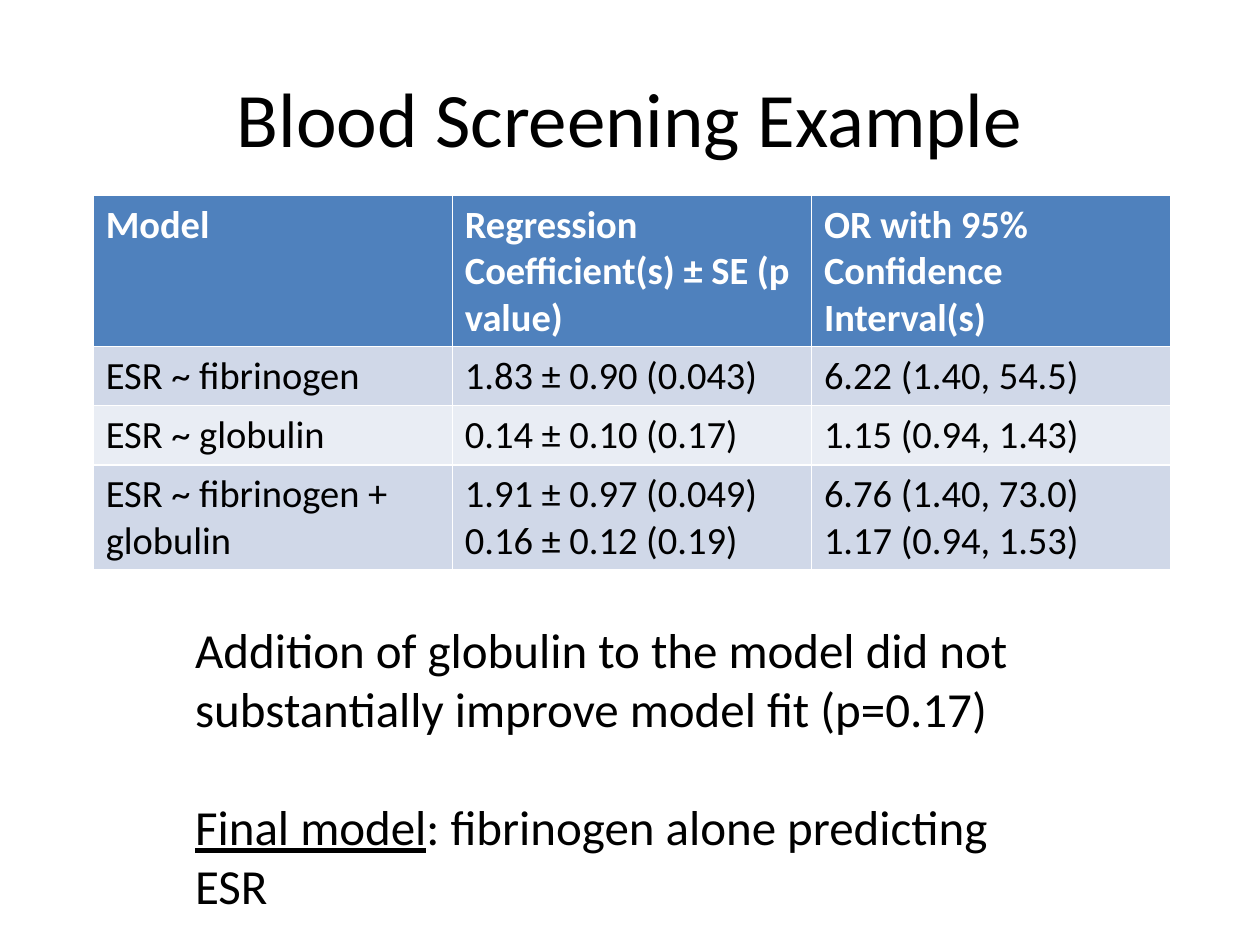
from dataclasses import dataclass

import pptx
import pptx.dml.color
import pptx.enum.text
import pptx.util
from pptx.util import Inches

FONT = "Calibri"
BLACK, WHITE = "000000", "FFFFFF"
HEADER_FILL = "4F81BD"
BAND_FILLS = ("D0D8E8", "E9EDF4")


@dataclass
class Row:
    height: float
    cells: tuple[str, str, str]


ROWS = [
    Row(1.2, ("Model", "Regression Coefficient(s) ± SE (p value)",
              "OR with 95% Confidence Interval(s)")),
    Row(0.47, ("ESR ~ fibrinogen", "1.83 ± 0.90 (0.043)", "6.22 (1.40, 54.5)")),
    Row(0.47, ("ESR ~ globulin", "0.14 ± 0.10 (0.17)", "1.15 (0.94, 1.43)")),
    Row(0.83, ("ESR ~ fibrinogen + globulin",
               "1.91 ± 0.97 (0.049)\n0.16 ± 0.12 (0.19)",
               "6.76 (1.40, 73.0)\n1.17 (0.94, 1.53)")),
]


def color(value: str) -> pptx.dml.color.RGBColor:
    return pptx.dml.color.RGBColor.from_string(value)


def format_text(frame, size: float, ink: str = BLACK, bold: bool = False) -> None:
    for para in frame.paragraphs:
        for span in para.runs:
            span.font.name = FONT
            span.font.size = pptx.util.Pt(size)
            span.font.bold = bold
            span.font.color.rgb = color(ink)


def add_text(page, left: float, top: float, width: float, height: float,
             text: str, size: float):
    box = page.shapes.add_textbox(Inches(left), Inches(top), Inches(width), Inches(height))
    frame = box.text_frame
    frame.word_wrap = True
    frame.text = text
    format_text(frame, size)
    return frame


def add_model_table(page, left: float, top: float, column_width: float) -> None:
    columns = len(ROWS[0].cells)
    height = sum(row.height for row in ROWS)
    table = page.shapes.add_table(len(ROWS), columns, Inches(left), Inches(top),
                                  Inches(column_width * columns), Inches(height)).table
    for column in table.columns:
        column.width = Inches(column_width)
    for index, row in enumerate(ROWS):
        header = index == 0
        table.rows[index].height = Inches(row.height)
        for cell, text in zip(table.rows[index].cells, row.cells):
            cell.text_frame.text = text
            format_text(cell.text_frame, 22, WHITE if header else BLACK, header)
            cell.fill.solid()
            cell.fill.fore_color.rgb = color(
                HEADER_FILL if header else BAND_FILLS[(index - 1) % 2])


def main() -> None:
    deck = pptx.Presentation()
    deck.slide_width, deck.slide_height = Inches(10), Inches(7.5)
    page = deck.slides.add_slide(deck.slide_layouts[6])

    title = add_text(page, 0.5, 0.3, 9, 1.25, "Blood Screening Example", 44)
    title.vertical_anchor = pptx.enum.text.MSO_ANCHOR.MIDDLE
    title.paragraphs[0].alignment = pptx.enum.text.PP_ALIGN.CENTER

    add_model_table(page, 0.74, 1.55, 2.85)

    conclusion = add_text(
        page, 1.45, 4.87, 6.75, 2.46,
        "Addition of globulin to the model did not substantially improve "
        "model fit (p=0.17)\nFinal model", 28)
    final = conclusion.paragraphs[1]
    final.space_before = pptx.util.Pt(34)
    final.runs[0].font.underline = True
    final.add_run().text = ": fibrinogen alone predicting ESR"
    format_text(conclusion, 28)

    deck.save("out.pptx")


if __name__ == "__main__":
    main()
